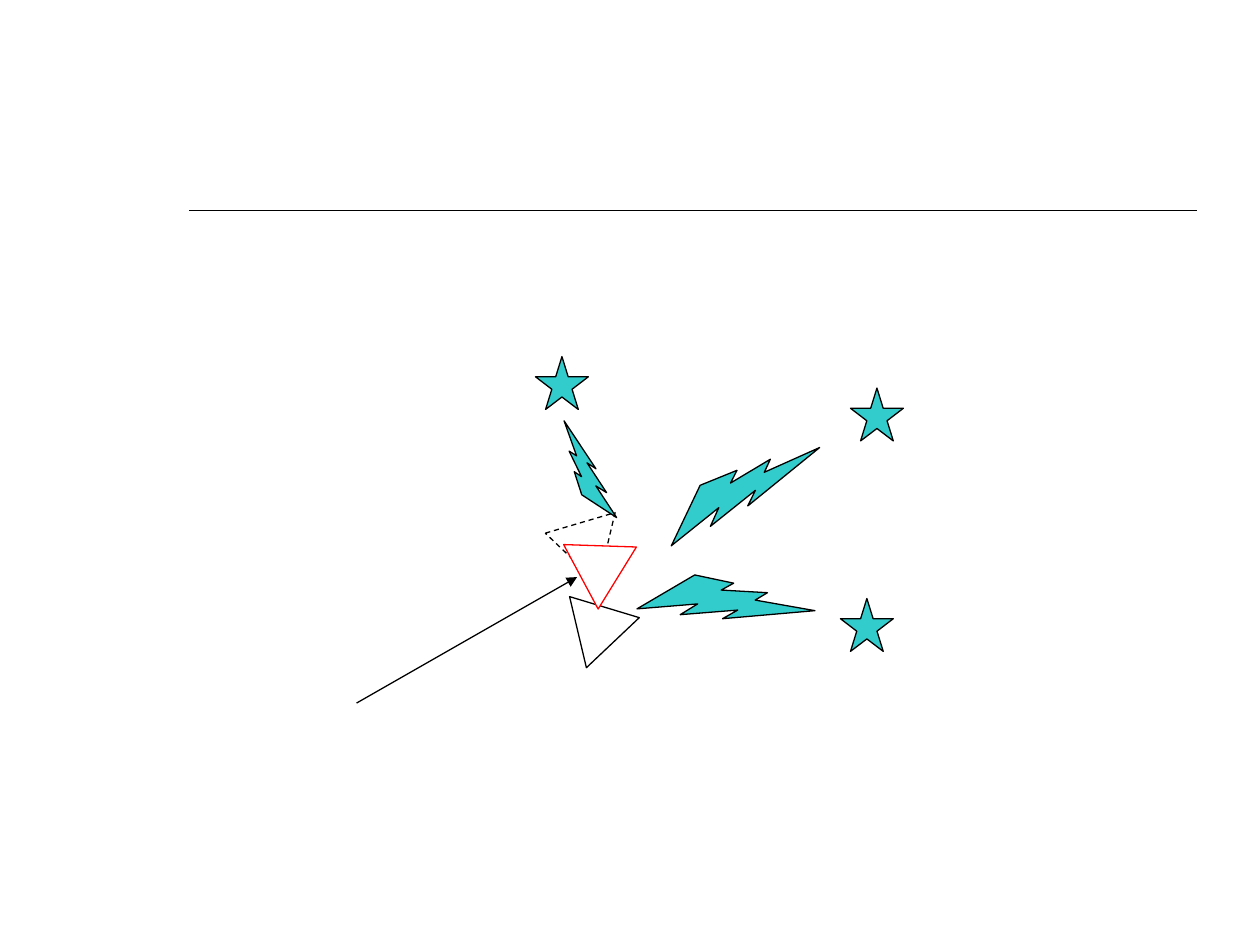
from dataclasses import dataclass

from pptx import Presentation
from pptx.dml.color import RGBColor
from pptx.enum.dml import MSO_LINE
from pptx.enum.shapes import MSO_CONNECTOR, MSO_SHAPE
from pptx.oxml.ns import qn
from pptx.util import Inches, Pt
from lxml import etree

STAR = MSO_SHAPE.STAR_5_POINT
BOLT = MSO_SHAPE.LIGHTNING_BOLT
TRI = MSO_SHAPE.ISOSCELES_TRIANGLE
DASH = MSO_LINE.DASH
STRAIGHT = MSO_CONNECTOR.STRAIGHT

BLACK, WHITE, RED, TEAL = "000000", "FFFFFF", "FF0000", "33CCCC"


@dataclass
class Mark:
    kind: MSO_SHAPE
    left: float
    top: float
    width: float
    height: float
    turn: float = 0
    fill: str = TEAL
    edge: str = BLACK
    dash: bool = False


@dataclass
class Rule:
    start: tuple[float, float]
    end: tuple[float, float]
    weight: float
    arrow: bool = False


def paint(target, color: str) -> None:
    target.rgb = RGBColor.from_string(color)


def draw_mark(slide, mark: Mark) -> None:
    box = map(Inches, (mark.left, mark.top, mark.width, mark.height))
    shape = slide.shapes.add_shape(mark.kind, *box)
    shape.shadow.inherit = False
    shape.rotation = mark.turn
    shape.fill.solid()
    paint(shape.fill.fore_color, mark.fill)
    paint(shape.line.color, mark.edge)
    shape.line.width = Pt(0.75)
    if mark.dash:
        shape.line.dash_style = DASH


def draw_rule(slide, rule: Rule) -> None:
    ends = map(Inches, (*rule.start, *rule.end))
    link = slide.shapes.add_connector(STRAIGHT, *ends)
    paint(link.line.color, BLACK)
    link.line.width = Pt(rule.weight)
    if rule.arrow:
        tail = etree.SubElement(link.line._get_or_add_ln(), qn("a:tailEnd"))
        tail.set("type", "triangle")
    etree.SubElement(link._element.spPr, qn("a:effectLst"))


def star(left: float, top: float) -> Mark:
    return Mark(STAR, left, top, 0.42, 0.42)


def wedge(left: float, top: float, turn: float, edge: str = BLACK,
          dash: bool = False) -> Mark:
    return Mark(TRI, left, top, 0.58, 0.5, turn, WHITE, edge, dash)


# Parts from back to front
PARTS = [
    # Rule under the empty heading
    Rule((1.5, 1.67), (9.5, 1.67), 1),
    # Landmarks
    star(4.25, 2.83),
    star(6.75, 3.08),
    star(6.67, 4.75),
    # Pointer to the red pose
    Rule((2.83, 5.58), (4.58, 4.58), 0.75, arrow=True),
    # Poses and the signals between them and the landmarks
    wedge(4.42, 4, 43.5, dash=True),
    Mark(BOLT, 5.08, 4.5, 1.33, 0.58, 340.9),
    Mark(BOLT, 4.25, 3.58, 0.83, 0.33, 223.4),
    Mark(BOLT, 5.21, 3.62, 1.33, 0.58, 306.8),
    wedge(4.54, 4.71, 76.7),
    wedge(4.54, 4.21, 61.8, RED),
]


def main() -> None:
    deck = Presentation()
    deck.slide_width, deck.slide_height = Inches(10), Inches(7.5)
    slide = deck.slides.add_slide(deck.slide_layouts[6])
    for part in PARTS:
        if isinstance(part, Rule):
            draw_rule(slide, part)
        else:
            draw_mark(slide, part)
    deck.save("out.pptx")


if __name__ == "__main__":
    main()
